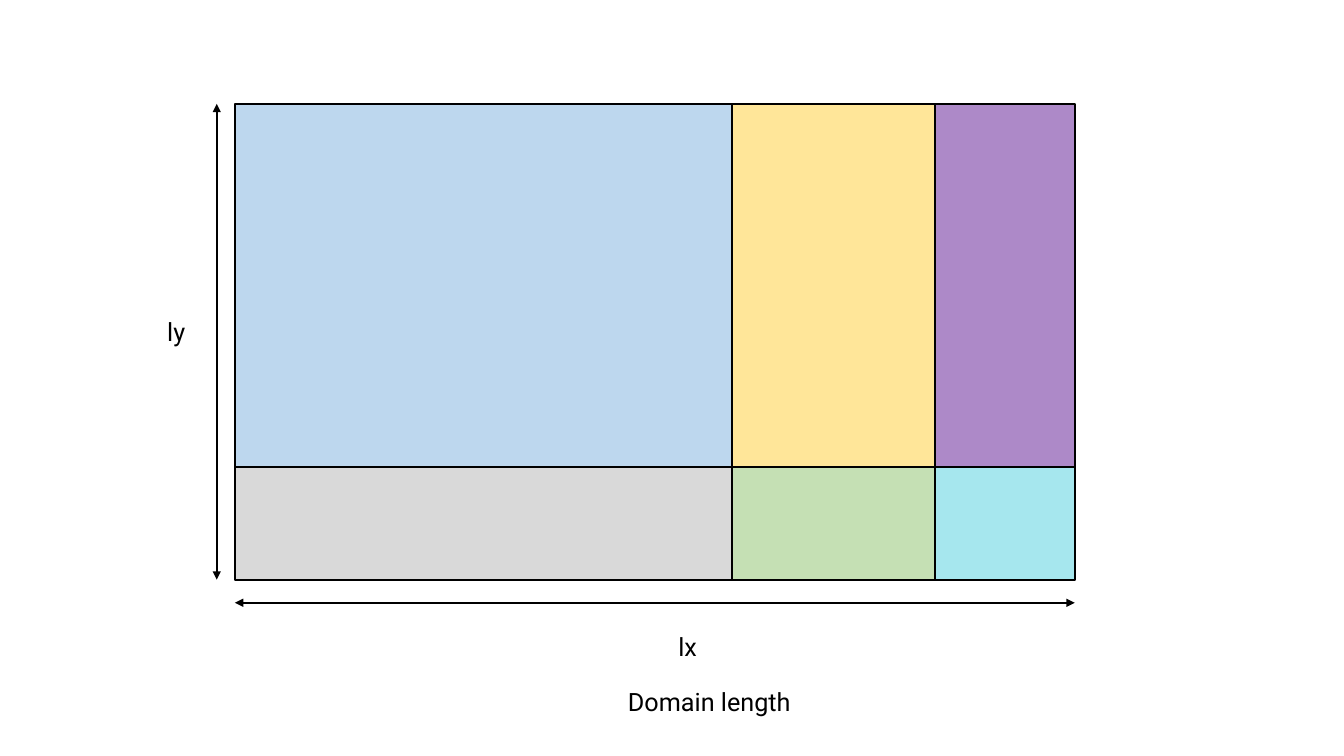
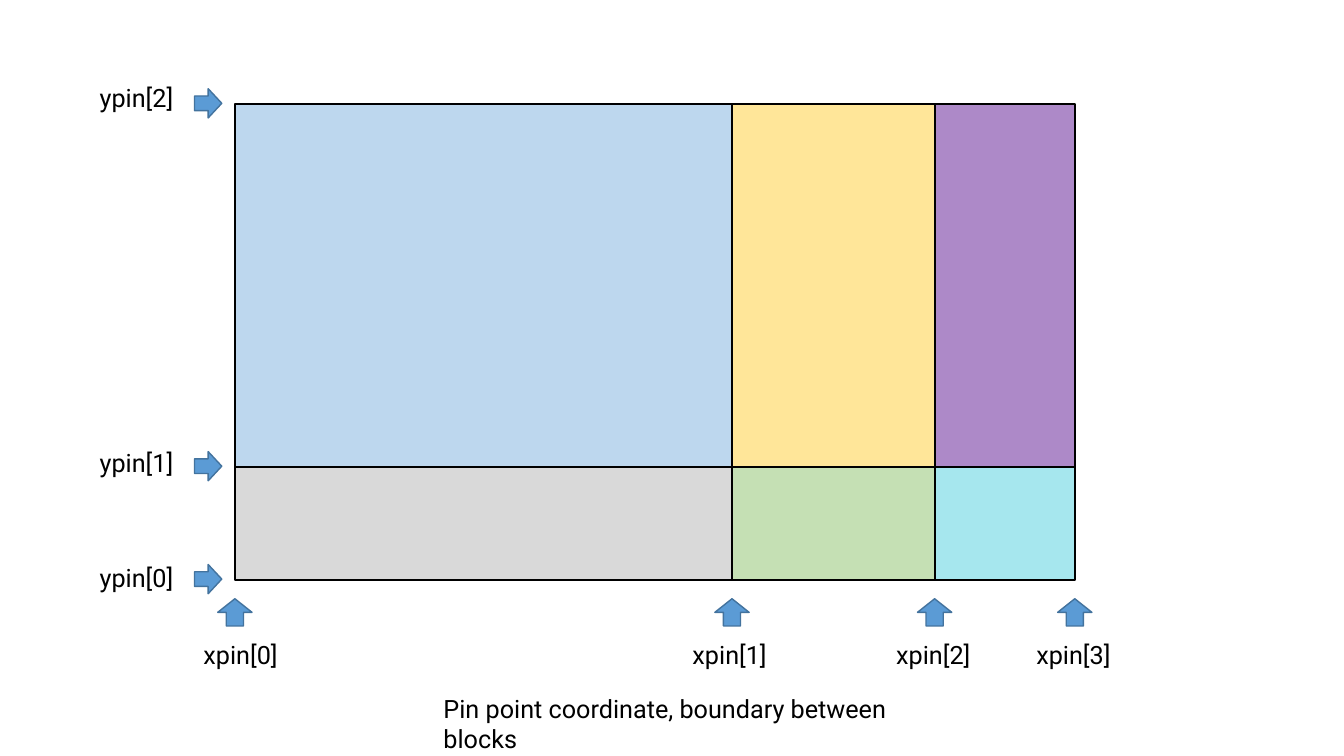
from dataclasses import dataclass

from lxml import etree
from pptx import Presentation
from pptx.dml.color import RGBColor
from pptx.enum import shapes, text
from pptx.oxml.ns import qn
from pptx.util import Inches, Pt


@dataclass(frozen=True)
class Theme:
    font: str = "Roboto"
    text_size: float = 18
    ink: str = "000000"
    pin_fill: str = "5B9BD5"
    pin_line: str = "43739E"
    block_line_width: float = 1.5
    arrow_width: float = 1.25
    pin_line_width: float = 1
    # Rows from the top down, each block as (colour, opacity in percent)
    blocks: tuple = (
        (("BDD7EE", 100), ("FFE699", 100), ("7030A0", 57)),
        (("D9D9D9", 100), ("C5E0B4", 100), ("A6E7EE", 100)),
    )


# Block boundaries, in inches
X_EDGES = (2.33, 7.26, 9.27, 10.66)
Y_EDGES = (1.03, 4.63, 5.75)


class Deck:
    def __init__(self, theme):
        self.theme = theme
        self.presentation = Presentation()
        self.presentation.slide_width = Inches(13.33)
        self.presentation.slide_height = Inches(7.5)
        self.slide = None

    def add_slide(self):
        layout = self.presentation.slide_layouts[6]
        self.slide = self.presentation.slides.add_slide(layout)

    def shape(self, kind, box, fill, line, line_width, opacity=100):
        shape = self.slide.shapes.add_shape(kind, *map(Inches, box))
        shape.shadow.inherit = False
        shape.fill.solid()
        shape.fill.fore_color.rgb = RGBColor.from_string(fill)
        shape.line.color.rgb = RGBColor.from_string(line)
        shape.line.width = Pt(line_width)
        if opacity < 100:
            color = shape.fill._xPr.find(".//" + qn("a:srgbClr"))
            etree.SubElement(color, qn("a:alpha"), val=str(opacity * 1000))

    def label(self, wording, left, top, width, wrap=False):
        box = self.slide.shapes.add_textbox(
            Inches(left), Inches(top), Inches(width), Inches(0.4))
        frame = box.text_frame
        frame.word_wrap = wrap
        frame.auto_size = text.MSO_AUTO_SIZE.SHAPE_TO_FIT_TEXT
        run = frame.paragraphs[0].add_run()
        run.text = wording
        font_format = {"name": self.theme.font, "size": Pt(self.theme.text_size)}
        for name, value in font_format.items():
            setattr(run.font, name, value)
        run.font.color.rgb = RGBColor.from_string(self.theme.ink)

    def double_arrow(self, start, end):
        connector = self.slide.shapes.add_connector(
            shapes.MSO_CONNECTOR.STRAIGHT, *map(Inches, start + end))
        connector.line.color.rgb = RGBColor.from_string(self.theme.ink)
        connector.line.width = Pt(self.theme.arrow_width)
        line = connector.line._get_or_add_ln()
        for tag in ("a:headEnd", "a:tailEnd"):
            etree.SubElement(line, qn(tag), type="triangle")
        etree.SubElement(connector._element.spPr, qn("a:effectLst"))

    def block_grid(self):
        for row, top, bottom in zip(self.theme.blocks, Y_EDGES, Y_EDGES[1:]):
            for (fill, opacity), left, right in zip(row, X_EDGES, X_EDGES[1:]):
                self.shape(
                    shapes.MSO_SHAPE.RECTANGLE,
                    (left, top, right - left, bottom - top),
                    fill, self.theme.ink, self.theme.block_line_width, opacity)

    def pin(self, kind, box):
        self.shape(kind, box, self.theme.pin_fill, self.theme.pin_line,
                   self.theme.pin_line_width)


deck = Deck(Theme())

# Slide 1: domain length
deck.add_slide()
deck.block_grid()
deck.double_arrow((X_EDGES[0], 5.98), (X_EDGES[-1], 5.98))
deck.double_arrow((2.15, Y_EDGES[-1]), (2.15, Y_EDGES[0]))
deck.label("lx", 6.63, 6.21, 0.4)
deck.label("ly", 1.56, 3.09, 0.39)
deck.label("Domain length", 6.13, 6.76, 1.82)

# Slide 2: pin points on every block boundary
deck.add_slide()
deck.block_grid()
x_label_lefts = (1.92, 6.77, 8.79, 10.18)
for index, (edge, label_left) in enumerate(zip(X_EDGES, x_label_lefts)):
    deck.pin(shapes.MSO_SHAPE.UP_ARROW, (edge - 0.17, 5.94, 0.34, 0.27))
    deck.label(f"xpin[{index}]", label_left, 6.29, 0.96)

y_label_tops = (5.53, 4.39, 0.77)
for index, (edge, label_top) in enumerate(zip(reversed(Y_EDGES), y_label_tops)):
    deck.pin(shapes.MSO_SHAPE.RIGHT_ARROW, (1.93, edge - 0.15, 0.27, 0.29))
    deck.label(f"ypin[{index}]", 0.89, label_top, 0.96)

deck.label("Pin point coordinate, boundary between blocks", 4.3, 6.83, 5.21, wrap=True)

deck.presentation.save("out.pptx")
